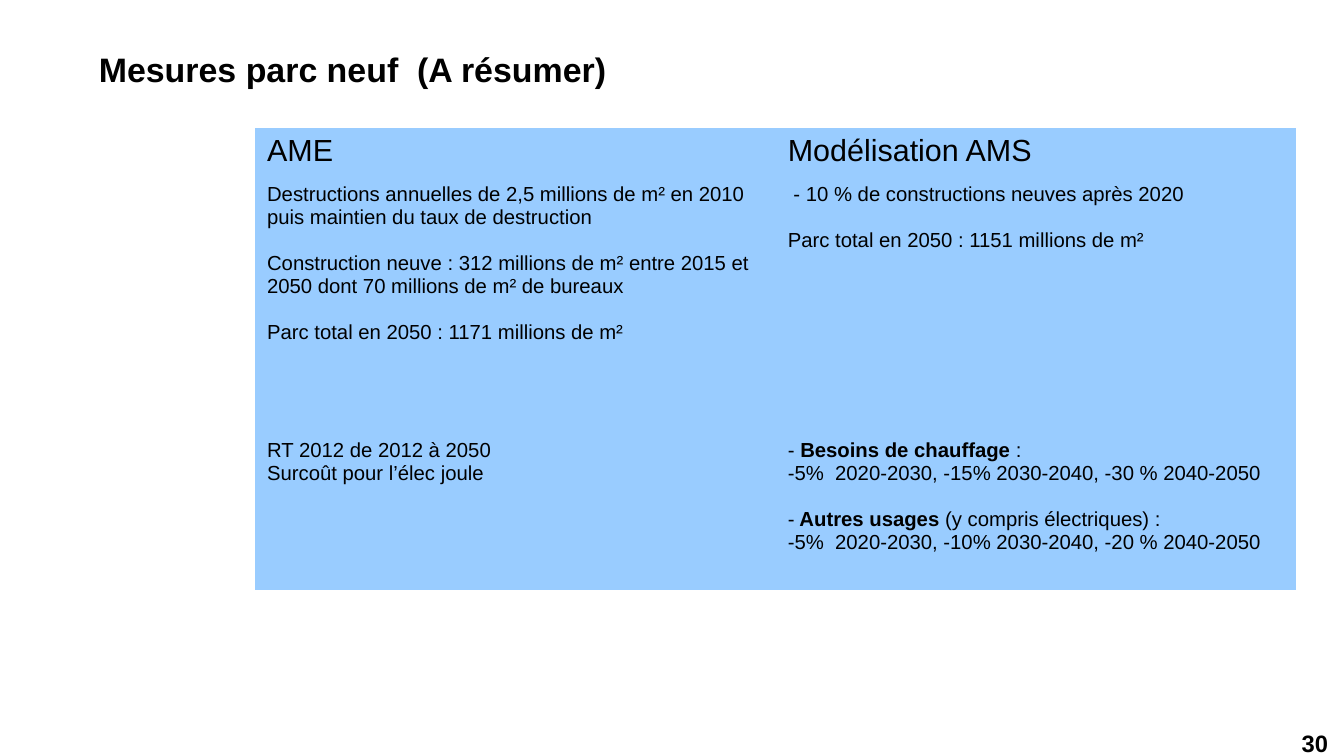
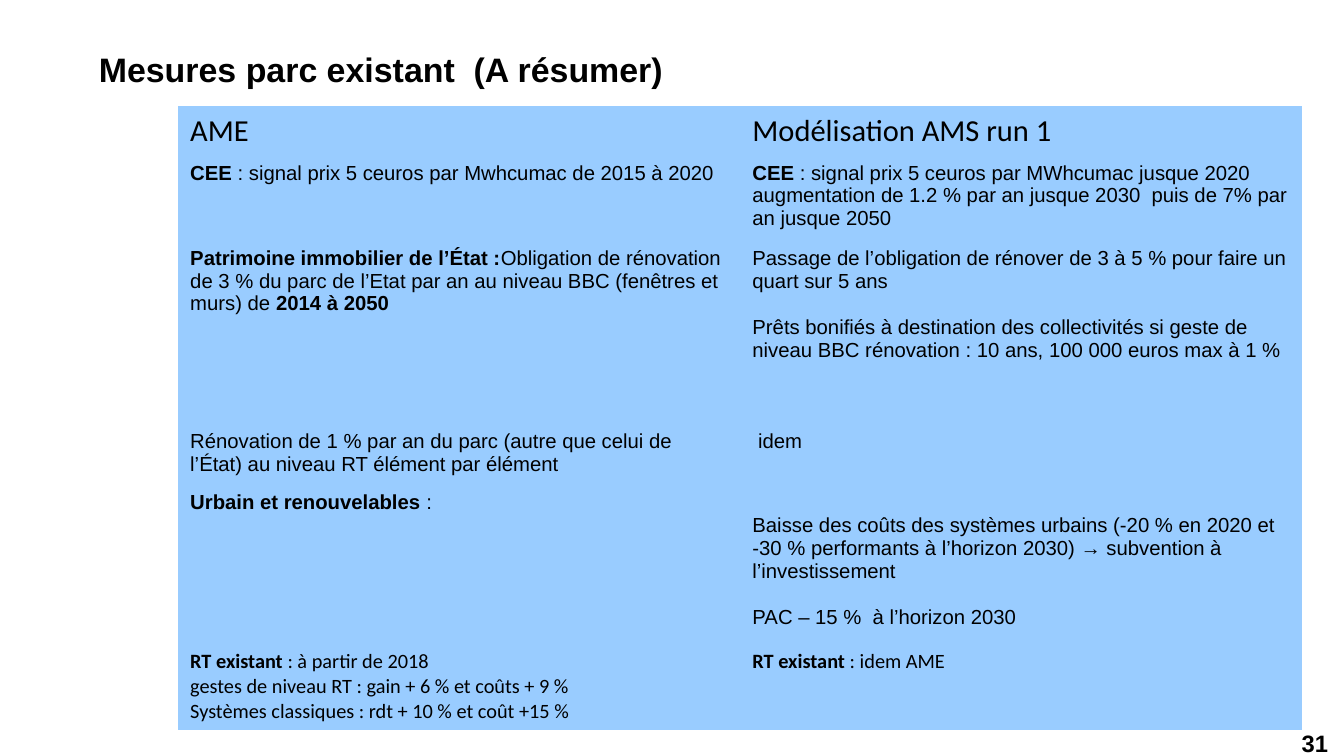
from dataclasses import dataclass

from pptx import Presentation
from pptx.dml.color import RGBColor
from pptx.enum.text import MSO_ANCHOR, MSO_AUTO_SIZE, PP_ALIGN
from pptx.oxml.ns import qn
from pptx.util import Inches, Pt

BLACK = RGBColor(0x00, 0x00, 0x00)
PALE_BLUE = RGBColor(0x99, 0xCC, 0xFF)
ARIAL = "Arial"
CALIBRI = "Calibri"

SLIDE_WIDTH, SLIDE_HEIGHT = 11.02, 6.2
TITLE_BOX = (0.81, 0.17, 9.91, 0.79)
PAGE_NUMBER_BOX = (9.89, 5.98, 1, 0.22)
TITLE_ONLY = 5
PLAIN_TABLE_STYLE = "{2D5ABB26-0587-4C30-8999-92F81FD0307C}"
BLANK_LINE = Pt(13.8)
CELL_INSET_X, CELL_INSET_Y = Inches(0.1), Inches(0.05)


@dataclass
class Cell:
    """Blocks of lines, one blank line apart; ** marks the bold words."""
    blocks: list
    font: str = ARIAL
    size: int = 12
    align: PP_ALIGN = PP_ALIGN.LEFT
    lowered: bool = False


def heading(text, font):
    return Cell([[text]], font, 18)


def add_run(paragraph, text, font, size, bold):
    run = paragraph.add_run()
    run.text = text
    run.font.name = font
    run.font.size = Pt(size)
    run.font.bold = bold
    run.font.color.rgb = BLACK


def place(shape, box):
    shape.left, shape.top, shape.width, shape.height = map(Inches, box)


def prepare_frame(frame, anchor):
    frame.word_wrap = True
    frame.auto_size = MSO_AUTO_SIZE.NONE
    frame.vertical_anchor = anchor
    frame.margin_left = frame.margin_right = 0
    frame.margin_top = frame.margin_bottom = 0


def write_title(slide, text):
    title = slide.shapes.title
    place(title, TITLE_BOX)
    prepare_frame(title.text_frame, MSO_ANCHOR.MIDDLE)
    paragraph = title.text_frame.paragraphs[0]
    paragraph.alignment = PP_ALIGN.LEFT
    add_run(paragraph, text, ARIAL, 20, True)


def write_page_number(slide, number):
    box = slide.shapes.add_textbox(*map(Inches, PAGE_NUMBER_BOX))
    prepare_frame(box.text_frame, MSO_ANCHOR.TOP)
    paragraph = box.text_frame.paragraphs[0]
    paragraph.alignment = PP_ALIGN.RIGHT
    add_run(paragraph, str(number), ARIAL, 14, True)


def fill_cell(table_cell, content):
    table_cell.fill.solid()
    table_cell.fill.fore_color.rgb = PALE_BLUE
    table_cell.margin_left = table_cell.margin_right = CELL_INSET_X
    table_cell.margin_bottom = CELL_INSET_Y
    table_cell.margin_top = CELL_INSET_Y + (BLANK_LINE if content.lowered else 0)
    frame = table_cell.text_frame
    for block_index, block in enumerate(content.blocks):
        for line_index, line in enumerate(block):
            is_first = block_index == line_index == 0
            paragraph = frame.paragraphs[0] if is_first else frame.add_paragraph()
            paragraph.alignment = content.align
            if block_index and not line_index:
                paragraph.space_before = BLANK_LINE
            for part_index, part in enumerate(line.split("**")):
                if part:
                    add_run(paragraph, part, content.font, content.size,
                            part_index % 2 == 1)


def add_measures_table(slide, left, top, width, rows):
    """Each row is its height followed by its cells; columns are equal."""
    column_count = len(rows[0]) - 1
    height = sum(row[0] for row in rows)
    frame = slide.shapes.add_table(len(rows), column_count, Inches(left),
                                   Inches(top), Inches(width), Inches(height))
    table = frame.table
    table.first_row = table.horz_banding = False
    table._tbl.tblPr.find(qn("a:tableStyleId")).text = PLAIN_TABLE_STYLE
    for row_index, (row_height, *cells) in enumerate(rows):
        table.rows[row_index].height = Inches(row_height)
        for column_index, content in enumerate(cells):
            fill_cell(table.cell(row_index, column_index), content)


def add_measures_slide(presentation, number, title, left, top, width, rows):
    slide = presentation.slides.add_slide(presentation.slide_layouts[TITLE_ONLY])
    write_page_number(slide, number)
    write_title(slide, title)
    add_measures_table(slide, left, top, width, rows)


NEW_BUILDINGS = [
    (0.4, heading("AME", ARIAL), heading("Modélisation AMS", ARIAL)),
    (2.1,
     Cell([["Destructions annuelles de 2,5 millions de m² en 2010 puis maintien "
            "du taux de destruction"],
           ["Construction neuve : 312 millions de m² entre 2015 et 2050 dont "
            "70 millions de m² de bureaux"],
           ["Parc total en 2050 : 1171 millions de m²"]]),
     Cell([[" - 10 % de constructions neuves après 2020"],
           ["Parc total en 2050 : 1151 millions de m²"]])),
    (1.29,
     Cell([["RT 2012 de 2012 à 2050", "Surcoût pour l’élec joule"]]),
     Cell([["- **Besoins de chauffage** :",
            "-5%  2020-2030, -15% 2030-2040, -30 % 2040-2050"],
           ["-** Autres usages** (y compris électriques) :",
            "-5%  2020-2030, -10% 2030-2040, -20 % 2040-2050"]],
          align=PP_ALIGN.JUSTIFY)),
]

EXISTING_BUILDINGS = [
    (0.4, heading("AME", CALIBRI), heading("Modélisation AMS run 1", CALIBRI)),
    (0.7,
     Cell([["**CEE** : signal prix 5 ceuros par Mwhcumac de 2015 à 2020"]]),
     Cell([["**CEE** : signal prix 5 ceuros par MWhcumac jusque 2020 augmentation "
            "de 1.2 % par an jusque 2030  puis de 7% par an jusque 2050"]])),
    (1.5,
     Cell([["**Patrimoine immobilier de l’État :**Obligation de rénovation de 3 % "
            "du parc de l’Etat par an au niveau BBC (fenêtres et murs) de "
            "**2014 à 2050**"]]),
     Cell([["Passage de l’obligation de rénover de 3 à 5 % pour faire un quart "
            "sur 5 ans"],
           ["Prêts bonifiés à destination des collectivités si geste de niveau "
            "BBC rénovation : 10 ans, 100 000 euros max à 1 %"]])),
    (0.5,
     Cell([["Rénovation de 1 % par an du parc (autre que celui de l’État) au "
            "niveau RT élément par élément"]]),
     Cell([[" idem"]])),
    (1.3,
     Cell([["**Urbain et renouvelables** :"]]),
     Cell([["Baisse des coûts des systèmes urbains (-20 % en 2020 et -30 % "
            "performants à l’horizon 2030) → subvention à l’investissement"],
           ["PAC – 15 %  à l’horizon 2030"]], lowered=True)),
    (0.71,
     Cell([["**RT existant **: à partir de 2018",
            "gestes de niveau RT : gain + 6 % et coûts + 9 %",
            "Systèmes classiques : rdt + 10 % et coût +15 %"]], CALIBRI),
     Cell([["**RT existant **: idem AME"]], CALIBRI)),
]


def main():
    presentation = Presentation()
    presentation.slide_width = Inches(SLIDE_WIDTH)
    presentation.slide_height = Inches(SLIDE_HEIGHT)
    add_measures_slide(presentation, 30, "Mesures parc neuf  (A résumer)",
                       2.09, 1.05, 8.54, NEW_BUILDINGS)
    add_measures_slide(presentation, 31, "Mesures parc existant  (A résumer)",
                       1.46, 0.87, 9.22, EXISTING_BUILDINGS)
    presentation.save("out.pptx")


if __name__ == "__main__":
    main()
